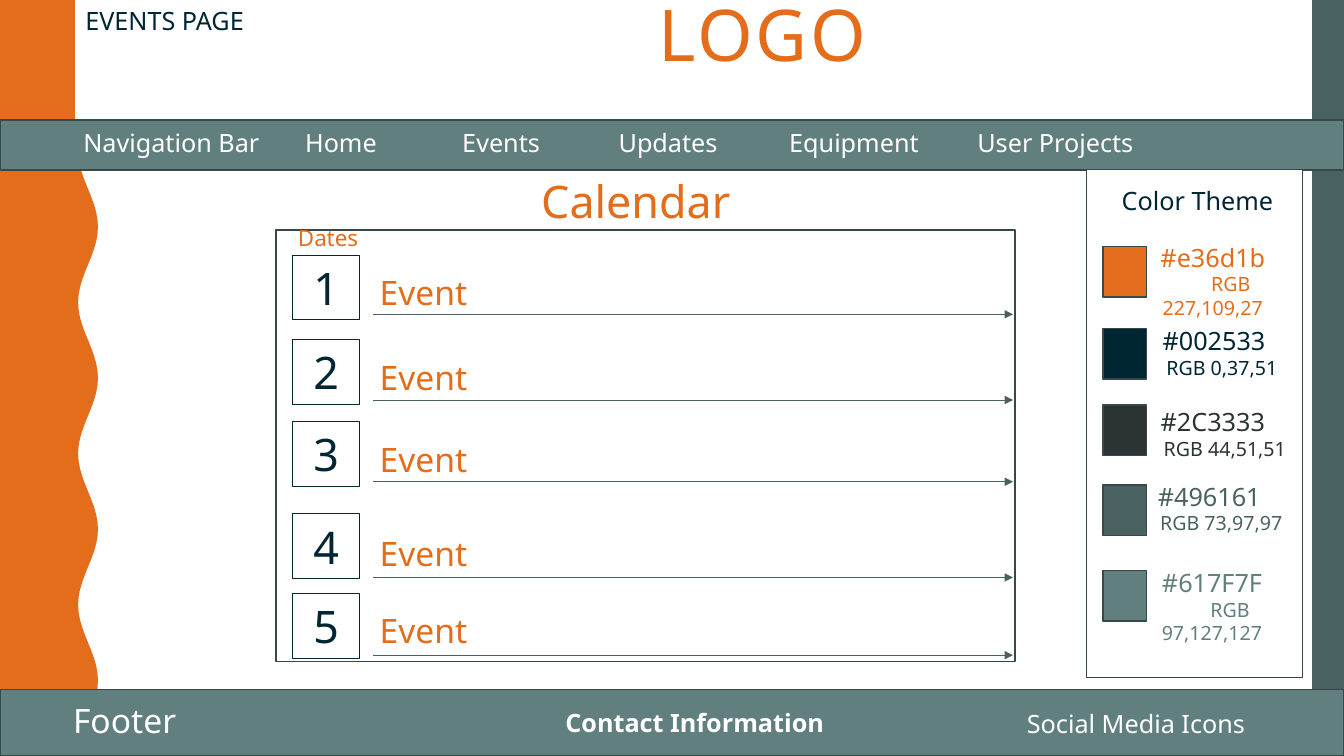
from dataclasses import dataclass
from math import cos, pi

from lxml.etree import SubElement
from pptx import Presentation
from pptx.dml.color import RGBColor
from pptx.enum.shapes import MSO_CONNECTOR, MSO_SHAPE
from pptx.enum.text import MSO_ANCHOR, PP_ALIGN
from pptx.oxml.ns import qn
from pptx.util import Cm, Pt

COLORS = {
    "orange": "E36D1B", "navy": "002533", "charcoal": "2C3333",
    "slate": "496161", "sage": "617F7F", "outline": "364848", "white": "FFFFFF",
}
FONT = "Noto Sans"
WIDTH, HEIGHT = 33.87, 19.05


@dataclass
class Label:
    text: str
    left: float
    top: float
    width: float
    height: float
    size: float
    color: str
    centered: bool = False
    bold: bool = False


@dataclass
class DateRow:
    box_top: float
    event_top: float
    arrow_y: float


@dataclass
class Swatch:
    color: str
    code: str
    rgb: str
    top: float
    label_left: float
    label_top: float
    indent: float


def rgb(name: str) -> RGBColor:
    return RGBColor.from_string(COLORS[name])


def style(paragraph, size: float, color: str, bold: bool = False) -> None:
    paragraph.font.name = FONT
    paragraph.font.size = Pt(size)
    paragraph.font.color.rgb = rgb(color)
    paragraph.font.bold = bold


def add_box(left: float, top: float, width: float, height: float,
            fill: str | None, line: str | None = "outline", weight: float = 1):
    shape = slide.shapes.add_shape(
        MSO_SHAPE.RECTANGLE, Cm(left), Cm(top), Cm(width), Cm(height))
    paint(shape, fill, line, weight)
    return shape


def paint(shape, fill: str | None, line: str | None, weight: float = 1) -> None:
    shape.shadow.inherit = False
    if fill:
        shape.fill.solid()
        shape.fill.fore_color.rgb = rgb(fill)
    else:
        shape.fill.background()
    if line:
        shape.line.color.rgb = rgb(line)
        shape.line.width = Pt(weight)
    else:
        shape.line.fill.background()


def add_label(label: Label):
    frame = slide.shapes.add_textbox(
        Cm(label.left), Cm(label.top), Cm(label.width), Cm(label.height)).text_frame
    frame.word_wrap = True
    frame.margin_top = Cm(0.05)
    paragraph = frame.paragraphs[0]
    paragraph.text = label.text
    paragraph.alignment = PP_ALIGN.CENTER if label.centered else PP_ALIGN.LEFT
    style(paragraph, label.size, label.color, label.bold)
    return frame


def add_arrow(start: float, end: float, y: float) -> None:
    arrow = slide.shapes.add_connector(
        MSO_CONNECTOR.STRAIGHT, Cm(start), Cm(y), Cm(end), Cm(y))
    arrow.line.color.rgb = rgb("slate")
    arrow.line.width = Pt(0.5)
    SubElement(arrow.line._get_or_add_ln(), qn("a:tailEnd"), type="triangle")
    SubElement(arrow._element.spPr, qn("a:effectLst"))


def add_date_row(number: int, row: DateRow) -> None:
    box = add_box(7.37, row.box_top, 1.7, 1.63, None, "navy", 0.75)
    frame = box.text_frame
    frame.vertical_anchor = MSO_ANCHOR.MIDDLE
    paragraph = frame.paragraphs[0]
    paragraph.text = str(number)
    paragraph.alignment = PP_ALIGN.CENTER
    style(paragraph, 32, "navy")
    add_label(Label("Event", 9.32, row.event_top, 10.06, 1.27, 24, "orange"))
    add_arrow(9.4, 25.53, row.arrow_y)


def add_swatch(swatch: Swatch) -> None:
    add_box(27.8, swatch.top, 1.09, 1.27, swatch.color)
    frame = add_label(Label(swatch.code, swatch.label_left, swatch.label_top,
                            4.85, 1.63, 18, swatch.color, centered=True))
    paragraph = frame.add_paragraph()
    paragraph.text = swatch.rgb
    paragraph.alignment = PP_ALIGN.CENTER
    style(paragraph, 14, swatch.color)
    paragraph._p.get_or_add_pPr().set("indent", str(Cm(swatch.indent)))


presentation = Presentation()
presentation.slide_width, presentation.slide_height = Cm(WIDTH), Cm(HEIGHT)
slide = presentation.slides.add_slide(presentation.slide_layouts[6])

# Wavy left edge: five waves down the slide
STEPS = 100
wave = [(Cm(2.22 - 0.25 * cos(10 * pi * step / STEPS)), Cm(HEIGHT * step / STEPS))
        for step in range(STEPS + 1)]
builder = slide.shapes.build_freeform(0, 0)
builder.add_line_segments([*wave, (0, Cm(HEIGHT))], close=True)
paint(builder.convert_to_shape(), "orange", None)
add_box(33.07, 0, 0.8, HEIGHT, "slate", None)

# Header
header = add_box(1.9, 0, 30.1, 3.02, "white", "white", 0.75)
frame = header.text_frame
frame.vertical_anchor = MSO_ANCHOR.TOP
frame.margin_left, frame.margin_top = Cm(14.7), 0
logo = frame.paragraphs[0]
logo.alignment = PP_ALIGN.LEFT
logo.line_spacing = 0.9
logo_run = logo.add_run()
logo_run.text = "LOGO"
style(logo, 51, "orange")
logo_run._r.get_or_add_rPr().set("spc", "200")

# Footer, navigation bar, calendar and theme panels
add_box(0, 17.37, WIDTH, 1.68, "sage")
add_box(0, 3.02, WIDTH, 1.27, "sage")
add_box(6.96, 5.8, 18.62, 10.87, "white")
add_box(27.38, 4.27, 5.44, 12.8, "white")

# Navigation entries on tab stops
navigation = add_label(Label(
    "Navigation Bar\tHome\tEvents\tUpdates\tEquipment\tUser Projects",
    1.85, 3.15, 31.95, 1.02, 18, "white"))
tab_list = SubElement(navigation.paragraphs[0]._p.get_or_add_pPr(), qn("a:tabLst"))
for stop in (5.59, 9.55, 13.49, 17.79, 22.53):
    SubElement(tab_list, qn("a:tab"), pos=str(Cm(stop)), algn="l")

# Headings and footer texts
for label in (
    Label("EVENTS PAGE", 1.9, 0.08, 7.26, 1.02, 18, "navy"),
    Label("Calendar", 13.39, 4.32, 6.3, 1.63, 32, "orange"),
    Label("Dates", 7.26, 5.61, 6.3, 0.94, 16, "orange"),
    Label("Color Theme", 28.02, 4.62, 4.8, 1.02, 18, "navy"),
    Label("Footer", -0.53, 17.58, 7.34, 1.27, 24, "white", centered=True),
    Label("Contact Information", 14, 17.78, 8.79, 1.02, 18, "white", bold=True),
    Label("Social Media Icons", 25.63, 17.81, 6.6, 1.02, 18, "white"),
):
    add_label(label)

# Calendar rows
for number, row in enumerate((
    DateRow(6.43, 6.81, 7.92),
    DateRow(8.56, 8.94, 10.08),
    DateRow(10.62, 11, 12.14),
    DateRow(12.95, 13.39, 14.55),
    DateRow(14.96, 15.32, 16.51),
), start=1):
    add_date_row(number, row)

# Color theme
for swatch in (
    Swatch("orange", "#e36d1b", "RGB 227,109,27", 6.22, 28.14, 6.05, 0.91),
    Swatch("navy", "#002533", "RGB 0,37,51", 8.28, 28.17, 8.15, 0.4),
    Swatch("charcoal", "#2C3333", "RGB 44,51,51", 10.21, 28.14, 10.19, 0.61),
    Swatch("slate", "#496161", "RGB 73,97,97", 12.22, 28.05, 12.07, 0.61),
    Swatch("sage", "#617F7F", "RGB 97,127,127", 14.38, 28.12, 14.25, 0.91),
):
    add_swatch(swatch)

presentation.save("out.pptx")
